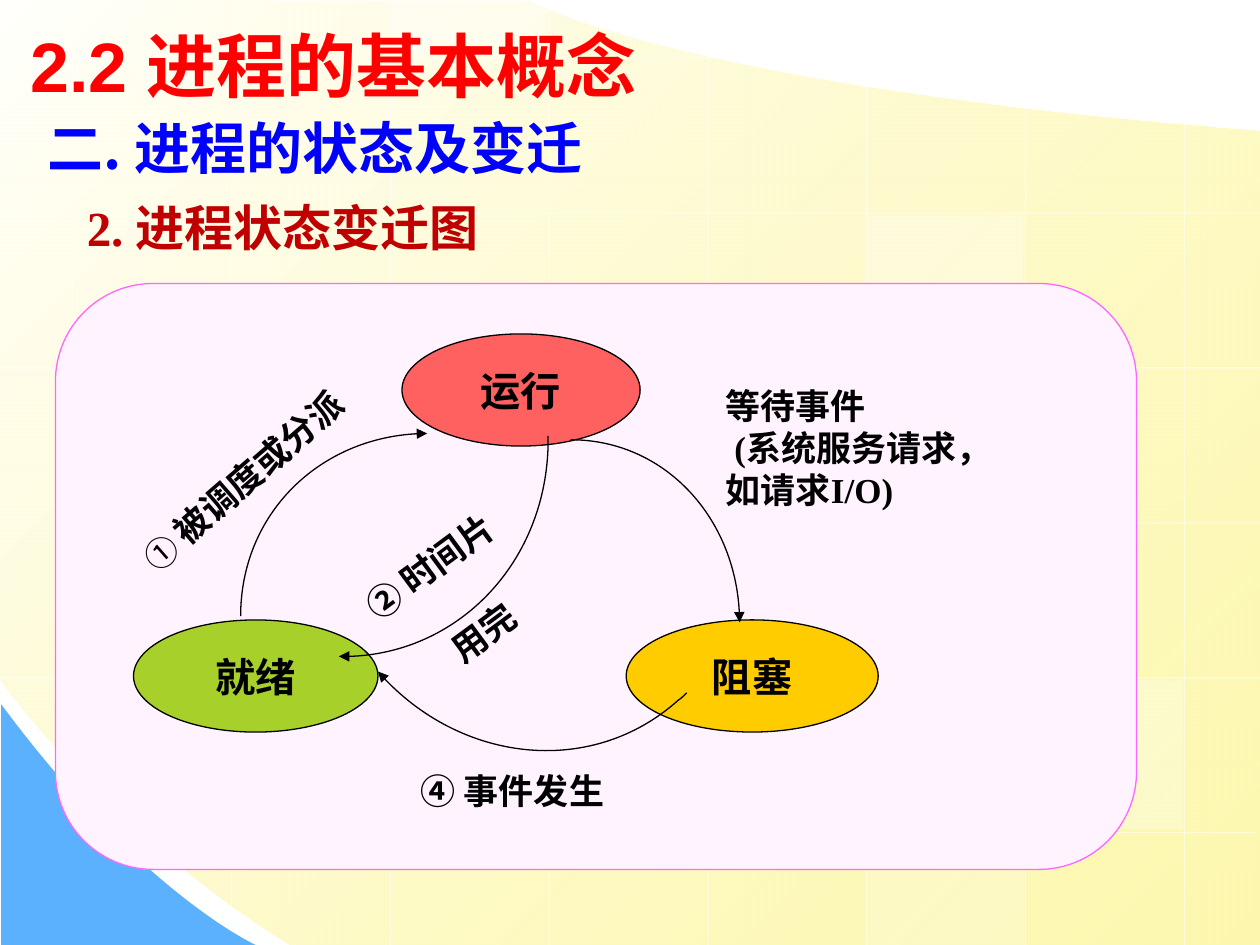
"""Build a slide on process states and the moves between them."""
from dataclasses import dataclass
from lxml.etree import SubElement
from pptx import Presentation
from pptx.dml.color import RGBColor
from pptx.enum.shapes import MSO_CONNECTOR, MSO_SHAPE
from pptx.enum.text import MSO_ANCHOR, PP_ALIGN
from pptx.oxml.ns import qn
from pptx.util import Inches, Pt


@dataclass(frozen=True)
class Theme:
    white: str = "FFFFFF"
    cream: str = "FFFFFB"
    straw: str = "FDF58D"
    sky: str = "5CB1FE"
    panel: str = "FFF3FF"
    pink: str = "FF66FF"
    coral: str = "FF6161"
    green: str = "A8D02A"
    gold: str = "FFCC00"
    black: str = "000000"
    red: str = "FF0000"
    blue: str = "0000FF"
    maroon: str = "C00000"
    title: int = 40
    section: int = 32
    topic: int = 28
    state: int = 23
    label: int = 20
    number: int = 19
    thin: float = 0.75
    sans: str = "Arial"
    serif: str = "Times New Roman"
    han: str = "Noto Sans CJK SC"


theme = Theme()
color = RGBColor.from_string


def write(shape, lines, pad, wrap=False, align=PP_ALIGN.LEFT, anchor=MSO_ANCHOR.MIDDLE):
    frame = shape.text_frame
    frame.word_wrap = wrap
    frame.vertical_anchor = anchor
    frame.margin_left = frame.margin_right = Inches(pad[0])
    frame.margin_top = frame.margin_bottom = Inches(pad[1])
    for num, line in enumerate(lines):
        para = frame.add_paragraph() if num else frame.paragraphs[0]
        para.alignment = align
        for words, face, size, hue, bold in line:
            run = para.add_run()
            run.text = words
            run.font.name = face
            run.font.size = Pt(size)
            run.font.bold = bold
            run.font.color.rgb = color(hue)
            SubElement(run.font._element, qn("a:ea"), typeface=theme.han)


def curve(start, points, close):
    form = slide.shapes.build_freeform(Inches(start[0]), Inches(start[1]))
    form.add_line_segments([(Inches(x), Inches(y)) for x, y in points], close=close)
    shape = form.convert_to_shape()
    shape.shadow.inherit = False
    steps = shape._element.findall(".//" + qn("a:lnTo"))
    for num in range(0, len(steps), 3):
        bend = SubElement(steps[num].getparent(), qn("a:cubicBezTo"))
        steps[num].addprevious(bend)
        for step in steps[num:num + 3]:
            bend.append(step[0])
            step.getparent().remove(step)
    return shape


deck = Presentation()
deck.slide_width, deck.slide_height = Inches(10), Inches(7.5)
slide = deck.slides.add_slide(deck.slide_layouts[5])
shapes = slide.shapes
veils = []

field = curve((10, 1.04), [
    (10, 4.27), (10, 7.5), (10, 7.5), (10, 7.5), (6.15, 7.5), (2.3, 7.5),
    (0.86, 6.61), (0, 5.39), (0, 5.39), (0, 5.39), (0, 0), (0, 0),
    (0, 0), (4.21, 0.01), (4.21, 0.01), (4.21, 0.01), (5.37, 0.69), (10, 1.04)], True)
field.fill.gradient()
field.fill.gradient_angle = 315
for stop, hue in zip(field.fill.gradient_stops, (theme.cream, theme.straw)):
    stop.color.rgb = color(hue)
field.line.fill.background()
veils.append((field, 70))

corner = curve((0.01, 5.59), [
    (0.01, 6.55), (0.01, 7.5), (0.01, 7.5), (0.01, 7.5), (2.03, 7.5), (2.03, 7.5),
    (2.03, 7.5), (1.12, 7.09), (0.01, 5.59)], True)
corner.fill.solid()
corner.fill.fore_color.rgb = color(theme.sky)
corner.line.fill.background()

tops = [0, 0, 0, 0, 0.43, 0.68, 0.85, 0.98]
ends = [6.09, 7.19] + [7.5] * 6
spans = [(0, 5.68)] + [(0, 10)] * 4 + [(1.11, 9.97)]
grid = [(0.58 + 1.26 * num, top, 0.58 + 1.26 * num, end)
        for num, (top, end) in enumerate(zip(tops, ends))]
grid += [(left, 0.46 + 1.23 * num, right, 0.46 + 1.23 * num)
         for num, (left, right) in enumerate(spans)]
for ends in grid:
    rule = shapes.add_connector(MSO_CONNECTOR.STRAIGHT, *map(Inches, ends))
    rule.line.width = Pt(theme.thin)
    rule.line.color.rgb = color(theme.white)
    SubElement(rule._element.spPr, qn("a:effectLst"))
    veils.append((rule, 50))

for left, top, high, pct in [(8.16, 5.4, 1.18, 30), (6.9, 6.63, 0.87, 20),
                             (3.11, 0, 0.44, 40), (6.89, 1.71, 1.18, 30)]:
    tile = shapes.add_shape(MSO_SHAPE.RECTANGLE, *map(Inches, (left, top, 1.23, high)))
    tile.shadow.inherit = False
    tile.fill.solid()
    tile.fill.fore_color.rgb = color(theme.white)
    tile.line.fill.background()
    veils.append((tile, pct))

for shape, pct in veils:
    hue = shape._element.spPr.findall(".//" + qn("a:srgbClr"))[-1]
    SubElement(hue, qn("a:alpha"), val=str(pct * 1000))

tight, loose = (0.07, 0.03), (0.1, 0.05)
for kind, box, fill, edge, name in [
        (MSO_SHAPE.ROUNDED_RECTANGLE, (0.44, 2.25, 8.58, 4.65), theme.panel, theme.pink, ""),
        (MSO_SHAPE.OVAL, (3.19, 2.65, 1.89, 0.89), theme.coral, theme.black, "运行"),
        (MSO_SHAPE.OVAL, (1.06, 4.92, 1.94, 0.89), theme.green, theme.black, "就绪"),
        (MSO_SHAPE.OVAL, (4.97, 4.92, 2, 0.89), theme.gold, theme.black, "阻塞")]:
    state = shapes.add_shape(kind, *map(Inches, box))
    state.shadow.inherit = False
    state.fill.solid()
    state.fill.fore_color.rgb = color(fill)
    state.line.color.rgb = color(edge)
    state.line.width = Pt(theme.thin)
    if name:
        write(state, [[(name, theme.serif, theme.state, theme.black, True)]],
              tight, align=PP_ALIGN.CENTER)

for start, points in [
        ((4.53, 3.49), [(5.27, 3.49), (5.87, 4.14), (5.87, 4.94)]),
        ((1.91, 4.89), [(1.91, 4.08), (2.57, 3.44), (3.39, 3.44)]),
        ((4.35, 3.46), [(4.35, 3.49), (4.35, 3.52), (4.35, 3.55),
                        (4.32, 4.49), (3.58, 5.23), (2.69, 5.21)]),
        ((5.45, 5.5), [(5.43, 5.52), (5.41, 5.54), (5.38, 5.56),
                       (4.71, 6.16), (3.64, 6.06), (3, 5.33)])]:
    move = curve(start, points, False)
    move.fill.background()
    move.line.color.rgb = color(theme.black)
    move.line.width = Pt(theme.thin)
    SubElement(move.line._get_or_add_ln(), qn("a:tailEnd"), type="triangle")

plain = (theme.serif, theme.label, theme.black, True)
mark = (theme.sans, theme.label, theme.black, True)
light = (theme.sans, theme.number, theme.black, False)
for box, turn, lines in [
        ((5.69, 3.04, 2.07, 1.03), 0, [[("等待事件", *plain)], [(" (系统服务请求，", *plain)],
                                       [("如请求I/O)", *plain)]]),
        ((0.83, 3.44, 2.39, 0.58), 319, [[("➀ ", *light), ("被调度或分派", *plain)]]),
        ((2.72, 4.04, 1.61, 0.73), 323.5, [[("➁", *mark), (" 时间片", *plain)]]),
        ((3.47, 4.59, 0.9, 0.73), 323.5, [[("用完", *plain)]]),
        ((3.27, 5.97, 1.97, 0.61), 0, [[("➃", *mark), (" 事件发生", *plain)]])]:
    label = shapes.add_textbox(*map(Inches, box))
    label.rotation = turn
    write(label, lines, tight)

title = shapes.title
title.left, title.top, title.width, title.height = map(Inches, (0.14, 0.01, 6.51, 1.01))
write(title, [[("2.2 进程的基本概念", theme.sans, theme.title, theme.red, True)]], loose, True)
shapes._spTree.append(title._element)

section = shapes.add_textbox(*map(Inches, (0.28, 0.7, 5.83, 0.94)))
write(section, [[("二. 进程的状态及变迁", theme.han, theme.section, theme.blue, True)]],
      loose, True)
topic = shapes.add_textbox(*map(Inches, (0.59, 1.52, 4.72, 0.57)))
write(topic, [[("2. 进程状态变迁图", theme.serif, theme.topic, theme.maroon, True)]],
      loose, True, anchor=MSO_ANCHOR.TOP)

deck.save("out.pptx")
